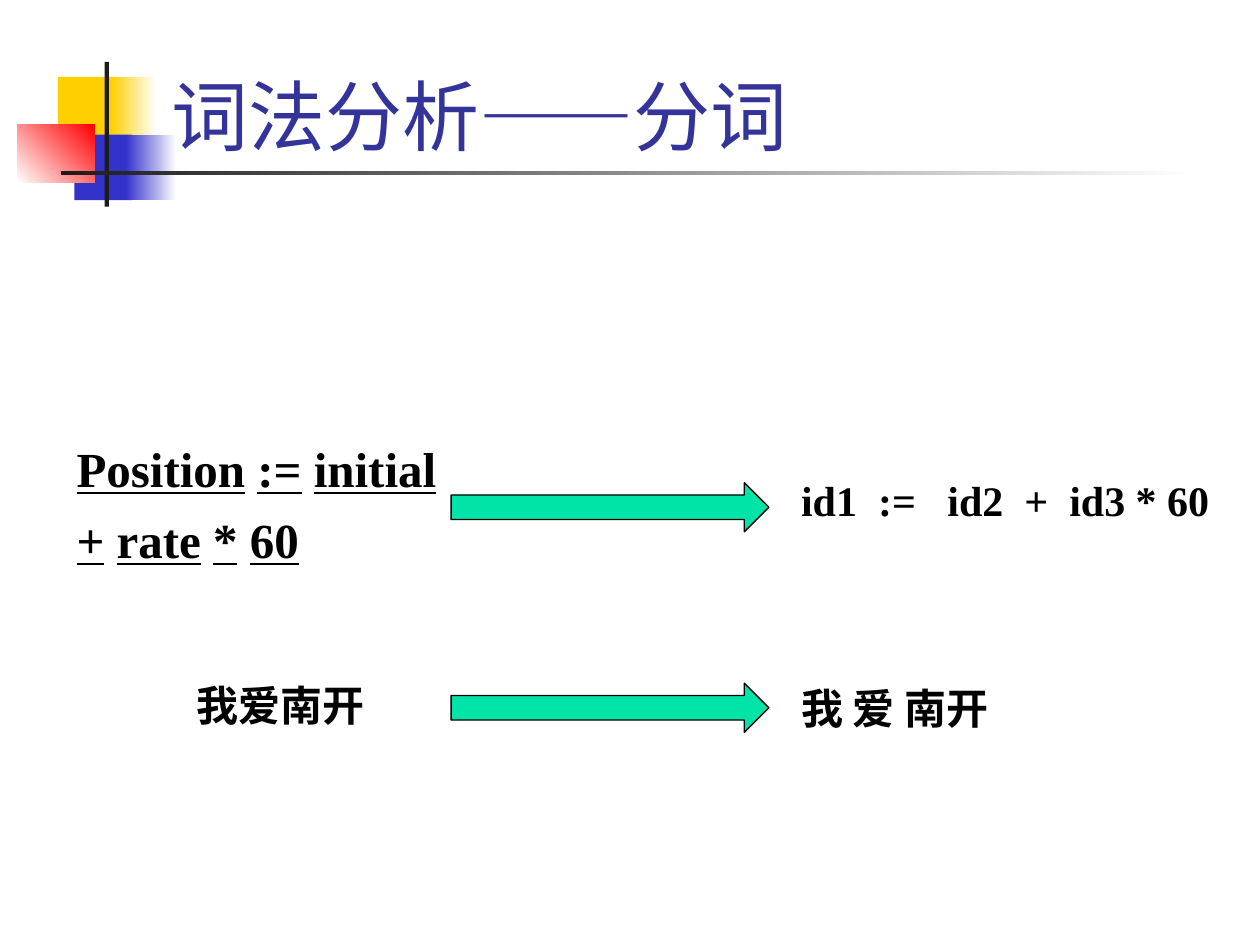
"""Build a slide on lexical analysis as splitting text into words."""
from pptx import Presentation
from pptx.dml.color import RGBColor
from pptx.enum.shapes import MSO_SHAPE
from pptx.enum.text import MSO_ANCHOR, MSO_AUTO_SIZE, PP_ALIGN
from pptx.util import Pt

RECT = MSO_SHAPE.RECTANGLE
ARROW = MSO_SHAPE.RIGHT_ARROW
BOTTOM = MSO_ANCHOR.BOTTOM
LEFT = PP_ALIGN.LEFT
FIXED = MSO_AUTO_SIZE.NONE


def paint(code):
    return RGBColor.from_string(code)


def write(frame, text, size=24, color="000000", bold=True, under=False, gap=0):
    frame.word_wrap = True
    frame.auto_size = FIXED
    for row, line in enumerate(text.split("\n")):
        para = frame.add_paragraph() if row else frame.paragraphs[0]
        para.alignment = LEFT
        if row:
            para.space_before = Pt(gap)
        parts = line.replace(" ", "\n \n").split("\n") if under else [line]
        for part in parts:
            run = para.add_run()
            run.text = part
            font = run.font
            font.name = "Times New Roman"
            font.size = Pt(size)
            font.bold = bold
            font.underline = under and part != " "
            font.color.rgb = paint(color)


class Deck:
    def __init__(self, slide):
        self.slide = slide
        self.shapes = slide.shapes
        self.ink = "333399"
        self.green = "00E4A8"

    def title(self, text, *box):
        head = self.shapes.title
        head.left, head.top, head.width, head.height = map(Pt, box)
        head.text_frame.vertical_anchor = BOTTOM
        write(head.text_frame, text, size=44, color=self.ink, bold=False)

    def shape(self, kind, *box):
        item = self.shapes.add_shape(kind, *map(Pt, box))
        item.shadow.inherit = False
        item.line.fill.background()
        return item

    def block(self, color, *box):
        fill = self.shape(RECT, *box).fill
        fill.solid()
        fill.fore_color.rgb = paint(color)

    def fade(self, start, end, angle, *box):
        fill = self.shape(RECT, *box).fill
        fill.gradient()
        fill.gradient_angle = angle
        for stop, color, place in zip(fill.gradient_stops, (start, end), (0, 1)):
            stop.color.rgb = paint(color)
            stop.position = place

    def arrow(self, *box):
        item = self.shape(ARROW, *box)
        item.fill.solid()
        item.fill.fore_color.rgb = paint(self.green)
        item.line.color.rgb = paint("000000")
        item.line.width = Pt(0.75)

    def text(self, text, *box, **style):
        write(self.shapes.add_textbox(*map(Pt, box)).text_frame, text, **style)


def main():
    show = Presentation()
    show.slide_width, show.slide_height = Pt(720), Pt(540)
    deck = Deck(show.slides.add_slide(show.slide_layouts[5]))

    gold, blue, red, dark, white = "FFCF01", "3333CC", "FF0000", "1C1C1C", "FFFFFF"
    deck.block(gold, 33.1, 43.9, 34.6, 37.4)
    deck.fade(gold, white, 0, 63.4, 43.9, 25.9, 37.4)
    deck.block(blue, 42.5, 77, 33.1, 37.4)
    deck.fade(blue, white, 0, 72, 77, 28.8, 37.4)
    deck.fade(white, red, 45, 10, 71.2, 44, 33.2)
    deck.block(dark, 59.8, 35.3, 2.4, 82.8)
    deck.fade(dark, white, 0, 34.6, 97.8, 648, 2.3)
    deck.title("词法分析——分词", 90.7, 5.8, 613.4, 90)

    deck.text("Position := initial\n+ rate * 60", 36.7, 247, 221, 90.7,
              size=28, under=True, gap=7)
    deck.text("id1  :=   id2  +  id3 * 60", 450.7, 267.8, 249.8, 36)
    deck.text("我爱南开", 105.1, 384.5, 141.8, 49.7)
    deck.text("我 爱 南开", 450.7, 386.6, 244, 36)
    for top in (275.8, 390.4):
        deck.arrow(257.8, top, 181.6, 28.1)

    show.save("out.pptx")


if __name__ == "__main__":
    main()
